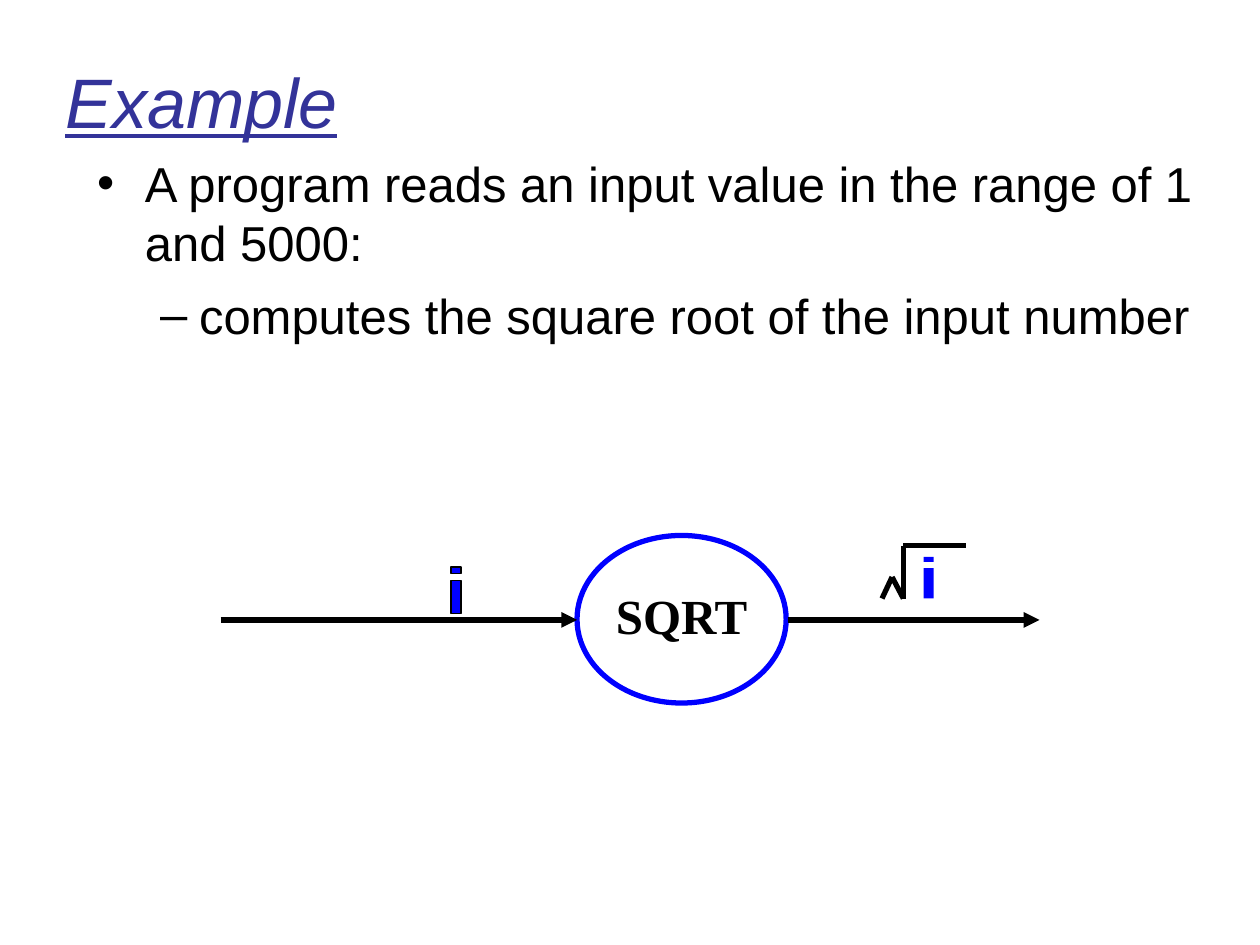
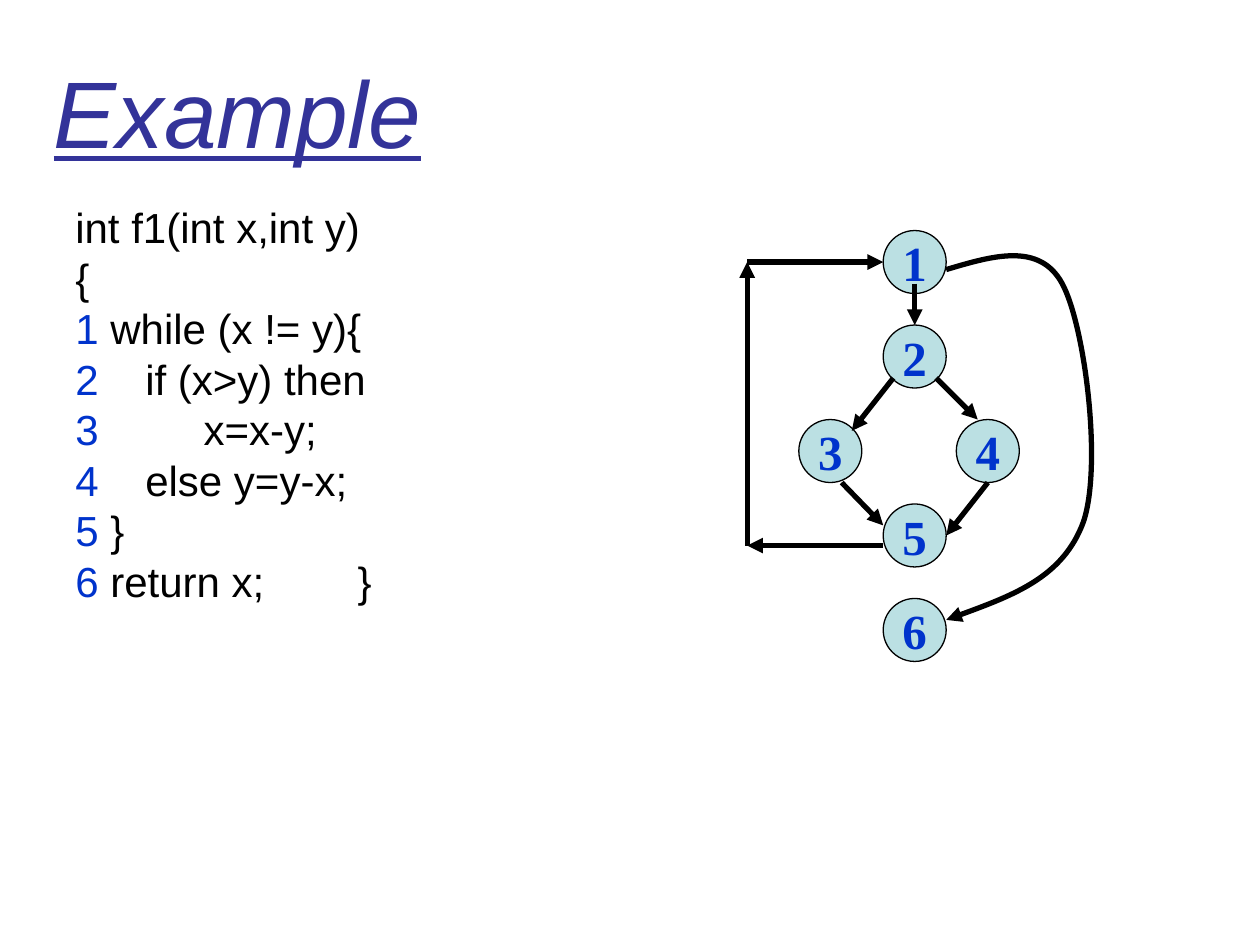
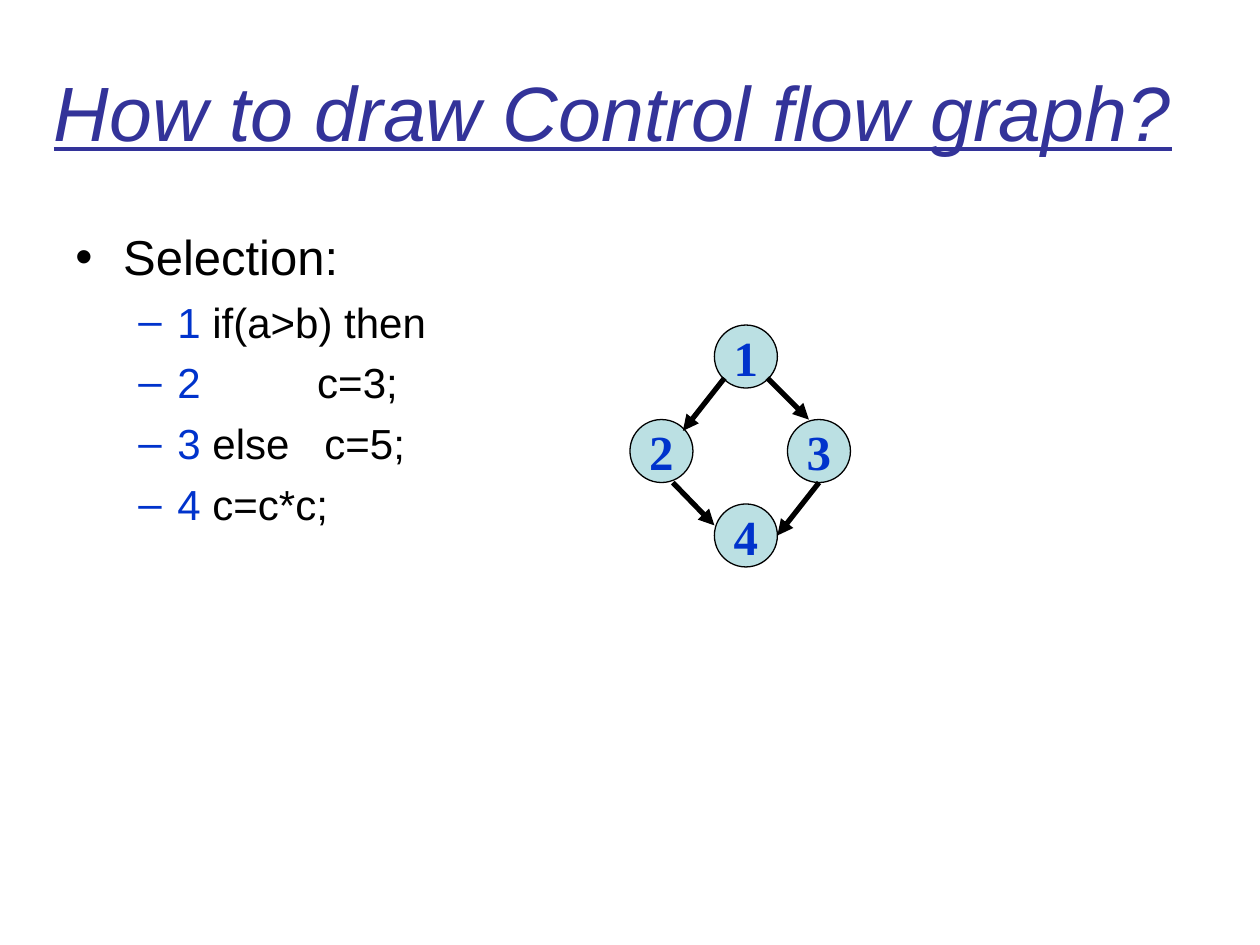
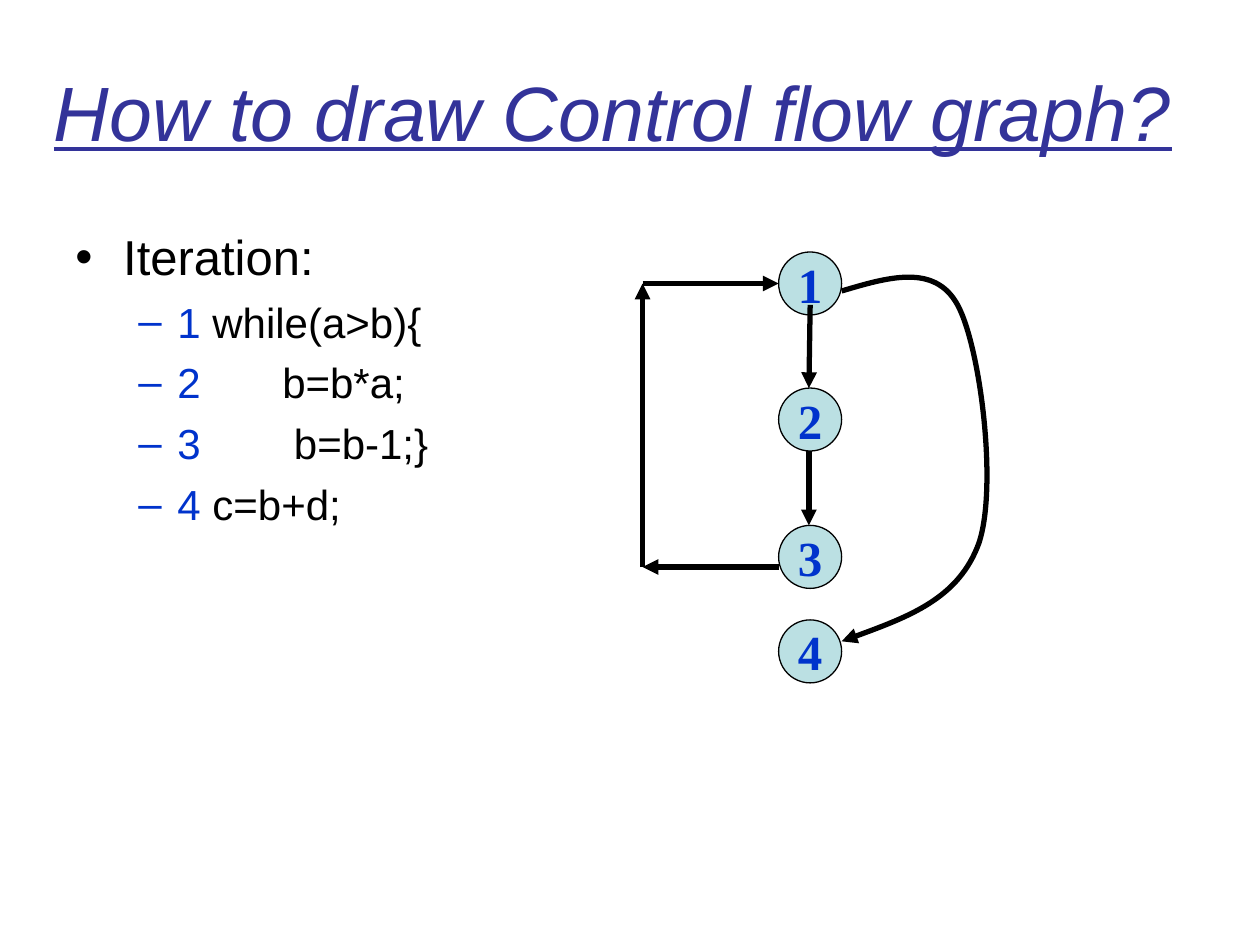
from lxml import etree
from pptx import Presentation
from pptx.dml.color import RGBColor
from pptx.enum.shapes import MSO_CONNECTOR, MSO_SHAPE
from pptx.enum.text import MSO_ANCHOR, PP_ALIGN
from pptx.oxml.ns import qn
from pptx.util import Inches, Pt

STRAIGHT = MSO_CONNECTOR.STRAIGHT
OVAL = MSO_SHAPE.OVAL
MIDDLE = MSO_ANCHOR.MIDDLE
TOP = MSO_ANCHOR.TOP
CENTER = PP_ALIGN.CENTER

BLACK, BLUE, NUMBER, TITLE, PALE = "000000", "0000FF", "0033CC", "333399", "BBE0E3"
SANS, SERIF = "Arial", "Times New Roman"
NODE = 0.5
BULLETS = {0: ("•", 0.38, -0.38), 1: ("–", 0.81, -0.31)}


def color(value):
    return RGBColor.from_string(value)


def points(pairs):
    return [(Inches(x), Inches(y)) for x, y in pairs]


class Deck:
    """Holds the shared style and the slide being drawn."""

    def __init__(self):
        self.presentation = Presentation()
        self.presentation.slide_width = Inches(10)
        self.presentation.slide_height = Inches(7.5)
        self.slide = None

    def new_slide(self):
        self.slide = self.presentation.slides.add_slide(self.presentation.slide_layouts[6])

    def set_frame(self, shape, inset=0.1, anchor=TOP, wrap=True):
        frame = shape.text_frame
        frame.word_wrap = wrap
        frame.vertical_anchor = anchor
        frame.margin_left = frame.margin_right = Inches(inset)
        frame.margin_top = frame.margin_bottom = Inches(0.05)
        return frame

    def text_box(self, left, top, width, height, inset=0.1, anchor=TOP):
        box = self.slide.shapes.add_textbox(Inches(left), Inches(top), Inches(width), Inches(height))
        return self.set_frame(box, inset, anchor)

    def run(self, paragraph, text, size, hex_color=BLACK, font=SANS, bold=False):
        run = paragraph.add_run()
        run.text = text
        run.font.size = Pt(size)
        run.font.name = font
        run.font.bold = bold
        run.font.color.rgb = color(hex_color)
        return run

    def title(self, text, size, left=0.33, top=0.25, width=9.67, inset=0.1):
        frame = self.text_box(left, top, width, 1.25, inset, MIDDLE)
        run = self.run(frame.paragraphs[0], text, size, TITLE)
        run.font.italic = True
        run.font.underline = True

    def next_paragraph(self, frame, space):
        if not frame.paragraphs[0].runs:
            return frame.paragraphs[0]
        paragraph = frame.add_paragraph()
        paragraph.space_before = Pt(space)
        return paragraph

    def bullet(self, paragraph, level, hex_color=BLACK):
        character, margin, indent = BULLETS[level]
        properties = paragraph._p.get_or_add_pPr()
        properties.set("marL", str(Inches(margin)))
        properties.set("indent", str(Inches(indent)))
        paragraph.level = level
        fill = etree.SubElement(properties, qn("a:buClr"))
        etree.SubElement(fill, qn("a:srgbClr"), val=hex_color)
        etree.SubElement(properties, qn("a:buFont"), typeface=SANS)
        etree.SubElement(properties, qn("a:buChar"), char=character)

    def numbered_code(self, paragraph, number, code):
        if number:
            self.run(paragraph, number, 24, NUMBER)
        self.run(paragraph, code, 24)

    def code_list(self, heading, lines):
        frame = self.text_box(0.5, 1.75, 9, 4.95)
        paragraph = frame.paragraphs[0]
        self.bullet(paragraph, 0)
        self.run(paragraph, heading, 28)
        for number, code in enumerate(lines, 1):
            paragraph = self.next_paragraph(frame, 6)
            self.bullet(paragraph, 1, NUMBER)
            self.numbered_code(paragraph, str(number), code)

    def ellipse(self, left, top, width, height, text, line, line_width,
                fill=None, text_color=BLACK, inset=0.1):
        shape = self.slide.shapes.add_shape(
            OVAL, Inches(left), Inches(top), Inches(width), Inches(height))
        shape.shadow.inherit = False
        if fill:
            shape.fill.solid()
            shape.fill.fore_color.rgb = color(fill)
        else:
            shape.fill.background()
        shape.line.color.rgb = color(line)
        shape.line.width = Pt(line_width)
        paragraph = self.set_frame(shape, inset, MIDDLE, False).paragraphs[0]
        paragraph.alignment = CENTER
        self.run(paragraph, text, 28, text_color, SERIF, True)
        return paragraph

    def nodes(self, positions, first=1):
        for number, (left, top) in enumerate(positions, first):
            self.ellipse(left, top, NODE, NODE, str(number), BLACK, 0.75, PALE, NUMBER)

    def stroke(self, shape, arrow):
        shape.line.color.rgb = color(BLACK)
        shape.line.width = Pt(3)
        if arrow:
            etree.SubElement(shape.line._get_or_add_ln(), qn("a:tailEnd"), type="triangle")

    def line(self, start, end, arrow=True):
        (x1, y1), (x2, y2) = points([start, end])
        connector = self.slide.shapes.add_connector(STRAIGHT, x1, y1, x2, y2)
        self.stroke(connector, arrow)
        etree.SubElement(connector._element.spPr, qn("a:effectLst"))

    def polyline(self, corners, arrow=True):
        for start, end in zip(corners, corners[1:]):
            self.line(start, end, arrow)

    def curve(self, controls):
        start, *rest = points(controls)
        builder = self.slide.shapes.build_freeform(*start)
        builder.add_line_segments(rest, close=False)
        shape = builder.convert_to_shape()
        shape.shadow.inherit = False
        shape.fill.background()
        self.stroke(shape, True)
        segments = list(shape._element.iter(qn("a:lnTo")))
        outline = segments[0].getparent()
        for index in range(0, len(segments), 3):
            bezier = etree.SubElement(outline, qn("a:cubicBezTo"))
            for segment in segments[index:index + 3]:
                bezier.append(segment[0])
                outline.remove(segment)

    def letter_i(self, left, dot, stem, outlined=False):
        builder = None
        for top, bottom in (stem, dot):
            right = left + 0.08
            start, *rest = points([(left, top), (right, top), (right, bottom), (left, bottom)])
            if builder is None:
                builder = self.slide.shapes.build_freeform(*start)
            else:
                builder.move_to(*start)
            builder.add_line_segments(rest)
        shape = builder.convert_to_shape()
        shape.shadow.inherit = False
        shape.fill.solid()
        shape.fill.fore_color.rgb = color(BLUE)
        if outlined:
            shape.line.color.rgb = color(BLACK)
            shape.line.width = Pt(0.75)
        else:
            shape.line.fill.background()

    def diamond(self, left, first):
        top = 2.58
        self.nodes([(left, top), (left - 0.67, top + 0.75),
                    (left + 0.58, top + 0.75), (left, top + 1.42)], first)
        for start, end in [((0.08, 0.42), (-0.25, 0.84)), ((0.42, 0.42), (0.75, 0.75)),
                           ((-0.33, 1.25), (0, 1.59)), ((0.83, 1.25), (0.5, 1.67))]:
            self.line((left + start[0], top + start[1]), (left + end[0], top + end[1]))

    def loop(self, left, top):
        back = left - 1.08
        self.polyline([(left, top + 2.5), (back, top + 2.5),
                       (back, top + 0.25), (left, top + 0.25)])
        controls = [(0.5, 0.31), (0.87, 0.2), (1.24, 0.09), (1.42, 0.42), (1.6, 0.75),
                    (1.74, 1.86), (1.59, 2.31), (1.43, 2.75), (0.97, 2.92), (0.5, 3.09)]
        self.curve([(left + x, top + y) for x, y in controls])


def square_root_slide(deck):
    deck.new_slide()
    deck.title("Example", 40, 0.5, 0.17, 9, 0.02)
    frame = deck.text_box(0.75, 1.17, 9.25, 4.5, 0.02)
    for level, text in enumerate([
            "A program reads an input value in the range of 1 and 5000:",
            "computes the square root of the input number"]):
        paragraph = deck.next_paragraph(frame, 8)
        deck.bullet(paragraph, level)
        deck.run(paragraph, text, 28)
    label = deck.ellipse(4.58, 4.25, 1.66, 1.33, "SQRT", BLUE, 3, inset=0.02)
    label.line_spacing = 0.85
    deck.line((1.75, 4.92), (4.58, 4.92))
    deck.line((6.25, 4.92), (8.25, 4.92))
    deck.letter_i(3.58, (4.5, 4.55), (4.61, 4.87), outlined=True)
    deck.letter_i(7.33, (4.42, 4.46), (4.51, 4.75))
    deck.polyline([(7, 4.75), (7.08, 4.58), (7.17, 4.75), (7.17, 4.33), (7.67, 4.33)], arrow=False)


def function_slide(deck):
    deck.new_slide()
    deck.title("Example", 54, width=9)
    frame = deck.text_box(0.5, 1.58, 3.67, 4.95)
    for number, code in [("", "int f1(int x,int y)"), ("", "{"),
                         ("1", " while (x != y){"), ("2", "    if (x>y) then"),
                         ("3", "         x=x-y;"), ("4", "    else y=y-x;"),
                         ("5", " }"), ("6", " return x;        }")]:
        paragraph = deck.next_paragraph(frame, 1.5)
        paragraph.line_spacing = 0.95
        deck.numbered_code(paragraph, number, code)
    left, top = 7.01, 1.83
    deck.nodes([(left, top)])
    deck.diamond(left, 2)
    deck.nodes([(left, 4.75)], 6)
    deck.line((left + 0.25, 2.25), (left + 0.25, 2.58))
    deck.loop(left, top)


def selection_slide(deck):
    deck.new_slide()
    deck.title("How to draw Control flow graph?", 44)
    deck.code_list("Selection:", [" if(a>b) then", "          c=3;", " else   c=5;", " c=c*c;"])
    deck.diamond(5.67, 1)


def iteration_slide(deck):
    deck.new_slide()
    deck.title("How to draw Control flow graph?", 44)
    deck.code_list("Iteration:", [" while(a>b){", "       b=b*a;", "        b=b-1;}", " c=b+d;"])
    left, top = 6.18, 2
    deck.nodes([(left, y) for y in (top, 3.08, 4.17, 4.92)])
    deck.line((6.43, 2.42), (6.42, 3.08))
    deck.line((6.42, 3.58), (6.42, 4.17))
    deck.loop(left, top)


def main():
    deck = Deck()
    for build in (square_root_slide, function_slide, selection_slide, iteration_slide):
        build(deck)
    deck.presentation.save("out.pptx")


if __name__ == "__main__":
    main()
